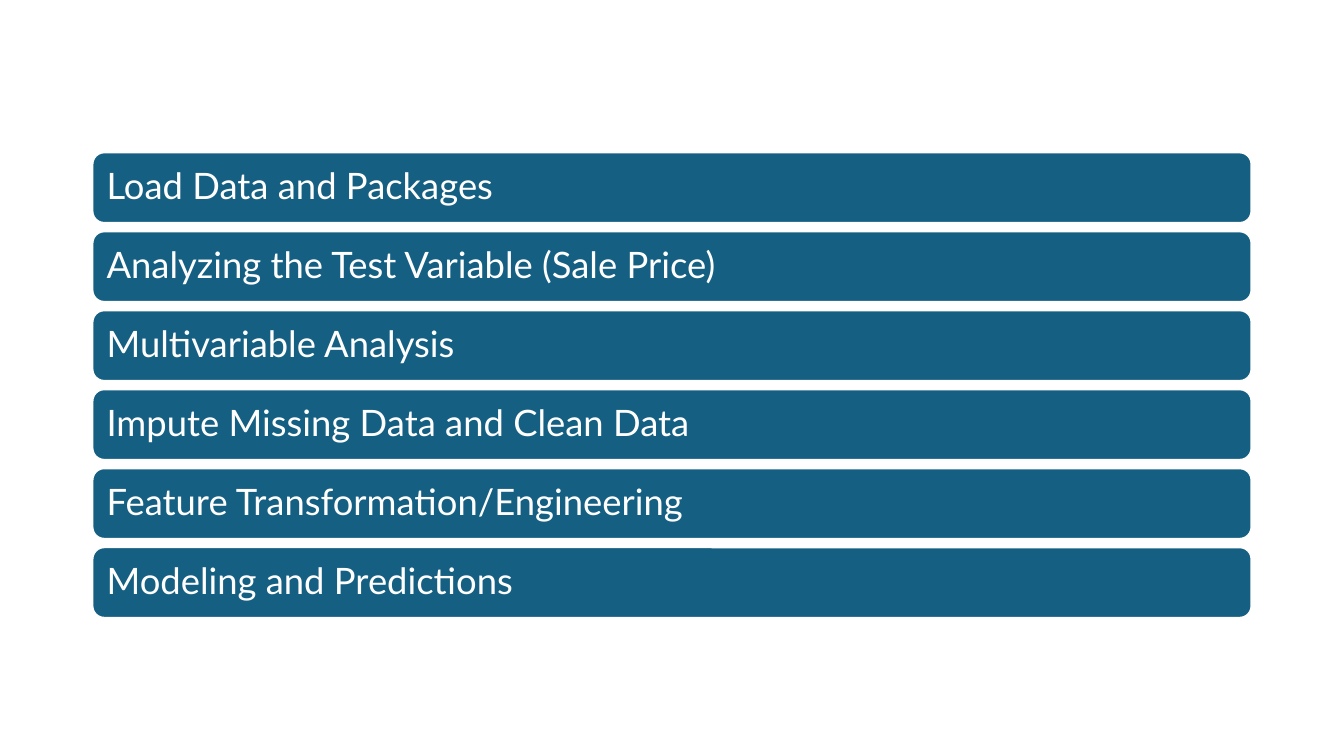
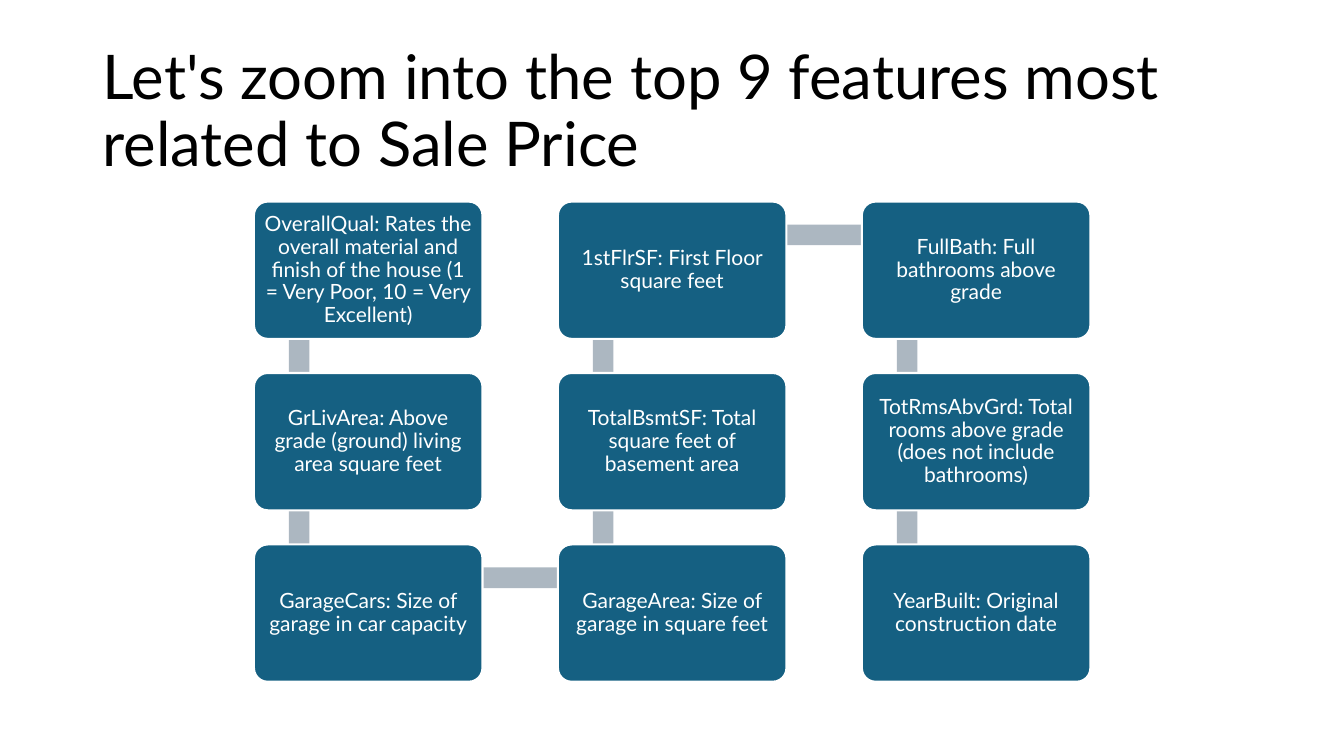
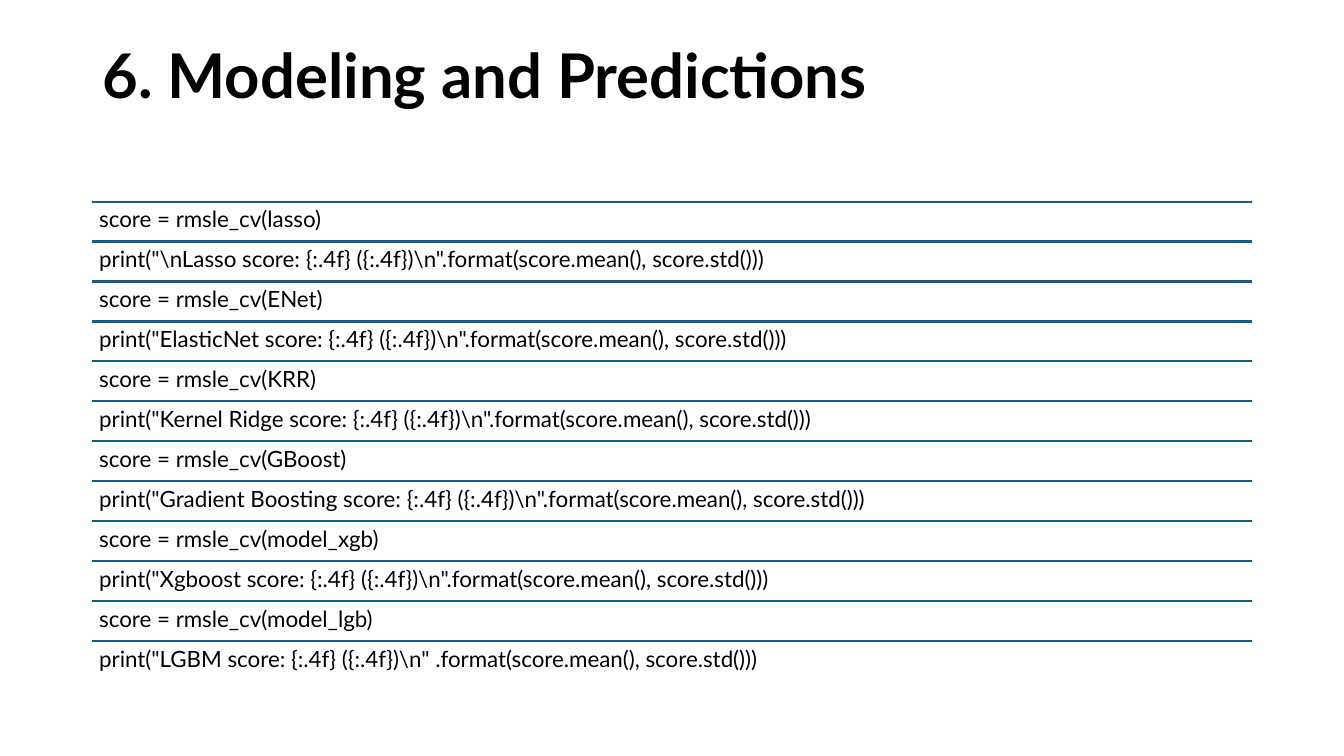
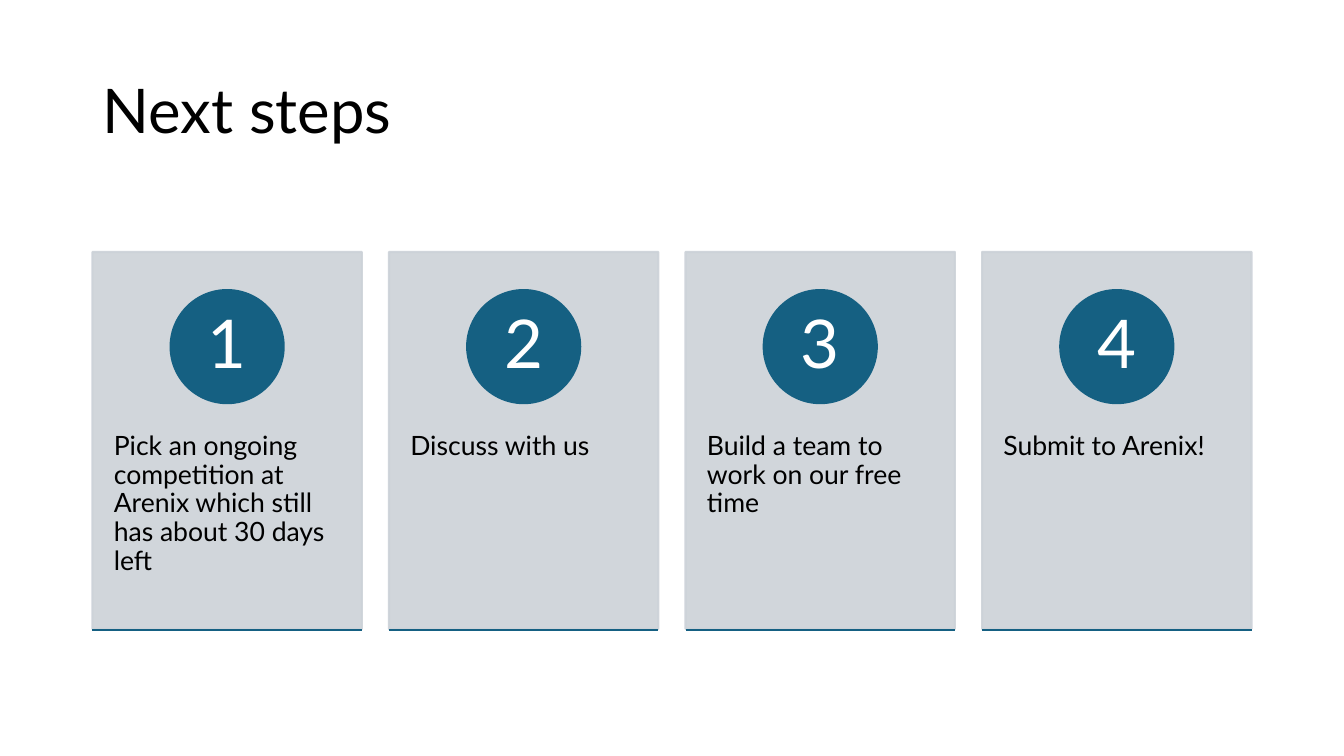
from itertools import pairwise

from lxml.etree import SubElement
from pptx import Presentation
from pptx.dml.color import RGBColor
from pptx.enum.shapes import MSO_CONNECTOR as Link, MSO_SHAPE as Kind
from pptx.enum.text import MSO_ANCHOR as Anchor, MSO_AUTO_SIZE as Fit, PP_ALIGN as Align
from pptx.oxml.ns import qn
from pptx.util import Cm, Pt

FONT = "Lato"
BLUE, GREY, PALE = "156082", "ACB7C1", "CCD2D8"
WHITE, BLACK = "FFFFFF", "000000"
LEFT, TOP, WIDE = 2.33, 5.08, 29.21  # shared content area, in cm


def paint(part, color):
    """Colour a font, or give a fill a solid colour."""
    if hasattr(part, "solid"):
        part.solid()
        part.fore_color.rgb = RGBColor.from_string(color)
    else:
        part.color.rgb = RGBColor.from_string(color)


class Deck:
    def __init__(self):
        self.show = Presentation()
        self.show.slide_width, self.show.slide_height = Cm(33.87), Cm(19.05)
        self.slide = None

    def page(self, title=None, bold=False, anchor=Anchor.MIDDLE):
        """Start a slide, with a title if one is given."""
        layout = self.show.slide_layouts[5 if title else 6]
        self.slide = self.show.slides.add_slide(layout)
        if title:
            head = self.slide.shapes.title
            head.left, head.top, head.width, head.height = map(Cm, (LEFT, 1.01, WIDE, 3.68))
            self.letter(head, title, 44, BLACK, (0.25, 0.13), bold=bold, anchor=anchor)

    def letter(self, shape, text, size, color, pad, bold=False,
               align=Align.LEFT, anchor=Anchor.MIDDLE, top=None):
        """Put styled text in a shape; pad is (side, top and bottom)."""
        frame = shape.text_frame
        frame.text = text
        frame.word_wrap = True
        frame.auto_size = Fit.NONE
        frame.vertical_anchor = anchor
        side, edge = pad
        frame.margin_left = frame.margin_right = Cm(side)
        frame.margin_bottom = Cm(edge)
        frame.margin_top = Cm(edge if top is None else top)
        par = frame.paragraphs[0]
        par.alignment = align
        par.line_spacing = 0.9
        par.font.name, par.font.size, par.font.bold = FONT, Pt(size), bold
        paint(par.font, color)

    def shape(self, kind, x, y, w, h, fill, line=None, alpha=None):
        """Draw a flat preset shape; alpha is its opacity in percent."""
        shape = self.slide.shapes.add_shape(kind, Cm(x), Cm(y), Cm(w), Cm(h))
        shape.shadow.inherit = False
        paint(shape.fill, fill)
        if line:
            paint(shape.line.fill, line)
            shape.line.width = Pt(1.5)
        else:
            shape.line.fill.background()
        if alpha:
            for tone in shape.element.spPr.iter(qn("a:srgbClr")):
                SubElement(tone, qn("a:alpha")).set("val", str(alpha * 1000))
        return shape

    def box(self, x, y, w, h, round=None):
        """Draw a blue rounded box with a white edge."""
        box = self.shape(Kind.ROUNDED_RECTANGLE, x, y, w, h, BLUE, WHITE)
        if round:
            box.adjustments[0] = round
        return box

    def rule(self, x, y, w):
        """Draw a blue level line."""
        rule = self.slide.shapes.add_connector(Link.STRAIGHT, Cm(x), Cm(y), Cm(x + w), Cm(y))
        paint(rule.line.fill, BLUE)
        rule.line.width = Pt(1.5)
        SubElement(rule.element.spPr, qn("a:effectLst"))

    def label(self, text, x, y, w, h, size, pad):
        """Add a plain text box."""
        box = self.slide.shapes.add_textbox(Cm(x), Cm(y), Cm(w), Cm(h))
        self.letter(box, text, size, BLACK, pad, anchor=Anchor.TOP)


def agenda(deck):
    deck.page()
    steps = [
        "Load Data and Packages",
        "Analyzing the Test Variable (Sale Price)",
        "Multivariable Analysis",
        "Impute Missing Data and Clean Data",
        "Feature Transformation/Engineering",
        "Modeling and Predictions",
    ]
    for i, step in enumerate(steps):
        bar = deck.box(LEFT, 3.84 + i * 1.99, WIDE, 1.78)
        deck.letter(bar, step, 26, WHITE, (0.27, 0.27))


def features(deck):
    deck.page("Let's zoom into the top 9 features most related to Sale Price")
    names = [
        "OverallQual: Rates the overall material and finish of the house "
        "(1 = Very Poor, 10 = Very Excellent)",
        "GrLivArea: Above grade (ground) living area square feet",
        "GarageCars: Size of garage in car capacity",
        "GarageArea: Size of garage in square feet",
        "TotalBsmtSF: Total square feet of basement area",
        "1stFlrSF: First Floor square feet",
        "FullBath: Full bathrooms above grade",
        "TotRmsAbvGrd: Total rooms above grade (does not include bathrooms)",
        "YearBuilt: Original construction date",
    ]
    # The path runs down, up and down again
    across, down, thick = 7.66, 4.32, 0.52
    spots = []
    for i in range(len(names)):
        col, row = divmod(i, 3)
        if col % 2:
            row = 2 - row
        spots.append((6.4 + col * across, TOP + row * down))

    # Links lie behind the boxes
    for (x, y), (nx, ny) in pairwise(spots):
        if x == nx:
            deck.shape(Kind.RECTANGLE, x + 0.88, min(y, ny) + 0.85, thick, down, GREY)
        else:
            deck.shape(Kind.RECTANGLE, x + 1.17, y + 0.58, across, thick, GREY)
    for name, (x, y) in zip(names, spots):
        box = deck.box(x, y, 5.76, 3.46, round=0.1)
        deck.letter(box, name, 15, WHITE, (0.15, 0.15), align=Align.CENTER)


def models(deck):
    deck.page("6. Modeling and Predictions", bold=True, anchor=Anchor.TOP)
    # Each model: its variable, the name it prints, and a gap before .format
    runs = [
        ("lasso", r"\nLasso", ""),
        ("ENet", "ElasticNet", ""),
        ("KRR", "Kernel Ridge", ""),
        ("GBoost", "Gradient Boosting", ""),
        ("model_xgb", "Xgboost", ""),
        ("model_lgb", "LGBM", " "),
    ]
    lines = []
    for var, name, gap in runs:
        lines.append(f"score = rmsle_cv({var})")
        lines.append(f'print("{name} score: ' + r'{:.4f} ({:.4f})\n"'
                     + gap + ".format(score.mean(), score.std()))")
    step = 12.08 / len(lines)
    for i, line in enumerate(lines):
        y = TOP + i * step
        deck.rule(LEFT, y, WIDE)
        deck.label(line, LEFT, y, WIDE, step, 16, (0.17, 0.17))


def plans(deck):
    deck.page("Next steps")
    plans = [
        "Pick an ongoing competition at Arenix which still has about 30 days left",
        "Discuss with us",
        "Build a team to work on our free time",
        "Submit to Arenix!",
    ]
    w, h, y, dot = 6.79, 9.5, 6.35, 2.85
    step = (WIDE - w) / (len(plans) - 1)
    for i, plan in enumerate(plans):
        x = LEFT + i * step
        card = deck.shape(Kind.RECTANGLE, x, y, w, h, PALE, PALE, alpha=90)
        deck.letter(card, plan, 19, BLACK, (0.54, 0.9), anchor=Anchor.TOP, top=4.55)
        disc = deck.shape(Kind.OVAL, x + (w - dot) / 2, y + 0.96, dot, dot, BLUE, BLUE)
        deck.letter(disc, str(i + 1), 48, WHITE, (0.23, 0.03), align=Align.CENTER)
        deck.rule(x, y + h + 0.02, w)


def main():
    deck = Deck()
    for build in (agenda, features, models, plans):
        build(deck)
    deck.show.save("out.pptx")


if __name__ == "__main__":
    main()
